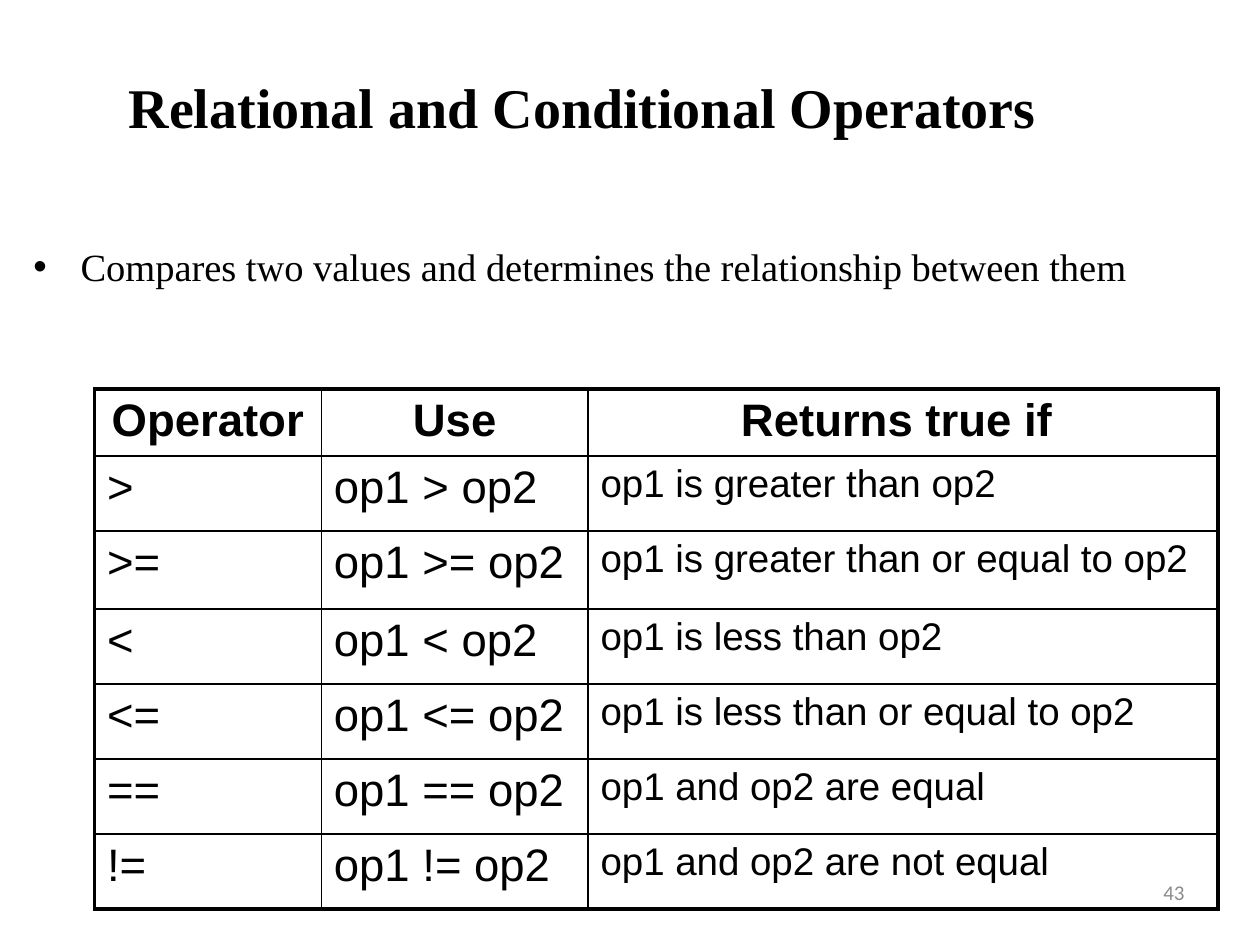
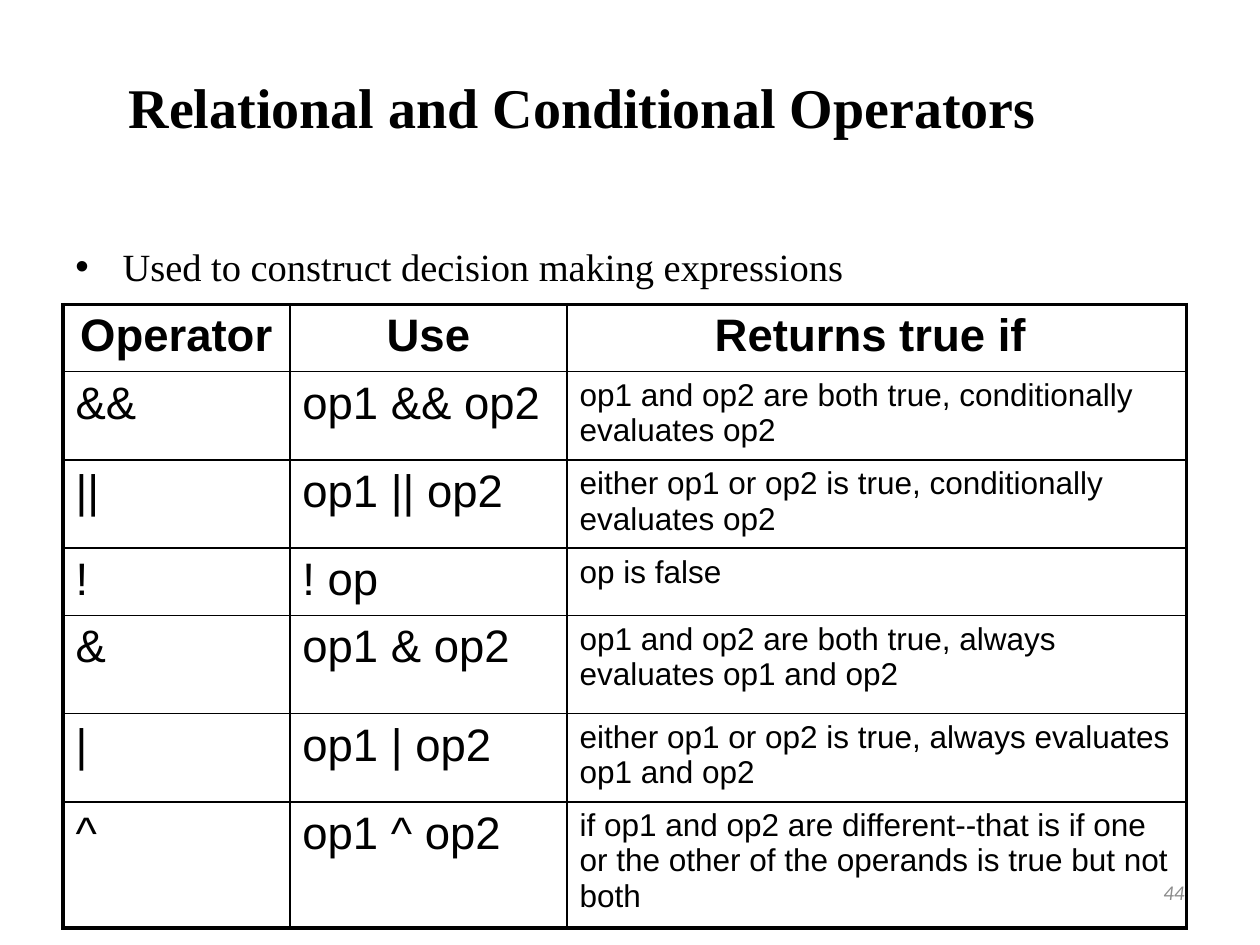
"""Two slides on relational and conditional operators, each a bullet over a table."""
from dataclasses import dataclass
from typing import Any, NamedTuple

from lxml.etree import SubElement
from pptx import Presentation
from pptx.dml.color import RGBColor
from pptx.enum.text import MSO_ANCHOR, PP_ALIGN
from pptx.oxml.ns import qn
from pptx.util import Emu, Inches, Pt


@dataclass(frozen=True)
class Theme:
    ink: str = "000000"
    muted: str = "8C8C8C"
    serif: str = "Times New Roman"
    sans: str = "Arial"
    number_font: str = "Calibri"
    title: int = 32
    body: int = 22
    cell: int = 26
    number: int = 12
    frame: float = 2.25
    rule: float = 1


class Box(NamedTuple):
    col: float
    row: float
    cols: float
    rows: float


class OperatorSlide(NamedTuple):
    bullet: str
    bullet_box: Box
    table_box: Box
    col_widths: tuple[float, ...]
    row_heights: tuple[float, ...]
    meaning_size: int
    operators: tuple[tuple[str, str, str], ...]
    number: int
    number_italic: bool


THEME = Theme()
WIDTH, HEIGHT = Inches(10), Inches(7.5)
GRID_COLS, GRID_ROWS = 120, 90
TITLE = "Relational and Conditional Operators"
HEADER = ("Operator", "Use", "Returns true if ")
TITLE_BOX = Box(6, 1.6, 99, 17)
NUMBER_BOX = Box(86, 82, 28, 6)

SLIDES = (
    OperatorSlide(
        "Compares two values and determines the relationship between them",
        Box(2, 22.57, 114, 13.5), Box(9, 37.04, 107, 49.7),
        (21.6, 25.4, 60), (6.4, 7.15, 7.4, 7.15, 7.15, 7.15, 7.15), 22,
        (
            (">", "op1 > op2", "op1 is greater than op2"),
            (">=", "op1 >= op2", "op1 is greater than or equal to op2"),
            ("<", "op1 < op2", "op1 is less than op2"),
            ("<=", "op1 <= op2", "op1 is less than or equal to op2"),
            ("==", "op1 == op2", "op1 and op2 are equal"),
            ("!=", "op1 != op2", "op1 and op2 are not equal"),
        ), 43, False),
    OperatorSlide(
        "Used to construct decision making expressions",
        Box(6, 22.57, 110, 13.5), Box(6, 29, 107, 59.4),
        (21.6, 26.4, 59), (5.3, 7.2, 7.4, 5.9, 9.35, 7.2, 7.2), 18,
        (
            ("&&", "op1 && op2", "op1 and op2 are both true, conditionally evaluates op2"),
            ("||", "op1 || op2", "either op1 or op2 is true, conditionally evaluates op2"),
            ("!", "! op", "op is false"),
            ("&", "op1 & op2", "op1 and op2 are both true, always evaluates op1 and op2"),
            ("|", "op1 | op2", "either op1 or op2 is true, always evaluates op1 and op2"),
            ("^", "op1 ^ op2", "if op1 and op2 are different--that is if one or the other "
                               "of the operands is true but not both"),
        ), 44, True),
)


def across(cols: float) -> Emu:
    """Turn grid columns into a length."""
    return Emu(round(WIDTH * cols / GRID_COLS))


def down(rows: float) -> Emu:
    """Turn grid rows into a length."""
    return Emu(round(HEIGHT * rows / GRID_ROWS))


def place(box: Box) -> tuple[Emu, Emu, Emu, Emu]:
    """Give the left, top, width and height of a grid box."""
    return across(box.col), down(box.row), across(box.cols), down(box.rows)


def apply(target: Any, formats: dict[str, Any]) -> None:
    """Set each named attribute on the target."""
    for name, value in formats.items():
        setattr(target, name, value)


def write(tf: Any, text: str, font: str, size: int, color: str = THEME.ink,
          align: PP_ALIGN = PP_ALIGN.LEFT, bold: bool = False,
          italic: bool = False, bullet: bool = False) -> None:
    """Fill a text frame with one styled paragraph."""
    p = tf.paragraphs[0]
    if bullet:
        pPr = p._p.get_or_add_pPr()
        indent = across(4.5)
        pPr.set("marL", str(indent))
        pPr.set("indent", str(-indent))
        SubElement(pPr, qn("a:buFont"), typeface=THEME.sans)
        SubElement(pPr, qn("a:buChar"), char="•")
    p.alignment = align
    r = p.add_run()
    r.text = text
    apply(r.font, {"name": font, "size": Pt(size), "bold": bold, "italic": italic})
    r.font.color.rgb = RGBColor.from_string(color)


def add_text(s: Any, box: Box, text: str, font: str, size: int,
             anchor: MSO_ANCHOR = MSO_ANCHOR.MIDDLE, **style: Any) -> None:
    """Add a wrapping text box on the grid."""
    tf = s.shapes.add_textbox(*place(box)).text_frame
    apply(tf, {"word_wrap": True, "vertical_anchor": anchor})
    write(tf, text, font, size, **style)


def add_borders(cell: Any, outer: dict[str, bool]) -> None:
    """Draw a cell's edges, heavier where they belong to the table frame."""
    tcPr = cell._tc.get_or_add_tcPr()
    for side, is_outer in outer.items():
        width = Pt(THEME.frame if is_outer else THEME.rule)
        ln = SubElement(tcPr, qn(f"a:ln{side}"), w=str(width))
        fill = SubElement(ln, qn("a:solidFill"))
        SubElement(fill, qn("a:srgbClr"), val=THEME.ink)


def add_operator_table(s: Any, spec: OperatorSlide) -> None:
    """Add the table of operators, their use and meaning."""
    rows = (HEADER, *spec.operators)
    last_row, last_col = len(rows) - 1, len(HEADER) - 1
    frame = s.shapes.add_table(len(rows), len(HEADER), *place(spec.table_box))
    table = frame.table
    apply(table, {"first_row": False, "horz_banding": False})
    for column, width in zip(table.columns, spec.col_widths):
        column.width = across(width)
    for i, (row, height) in enumerate(zip(rows, spec.row_heights)):
        table.rows[i].height = down(height)
        for j, text in enumerate(row):
            cell = table.cell(i, j)
            add_borders(cell, {"L": j == 0, "R": j == last_col,
                               "T": i == 0, "B": i == last_row})
            cell.fill.background()
            header = i == 0
            size = spec.meaning_size if j == last_col and not header else THEME.cell
            write(cell.text_frame, text, THEME.sans, size, bold=header,
                  align=PP_ALIGN.CENTER if header else PP_ALIGN.LEFT)
    frame.height = down(spec.table_box.rows)


def add_operator_slide(prs: Any, spec: OperatorSlide) -> None:
    """Add one slide with title, bullet, table and number."""
    s = prs.slides.add_slide(prs.slide_layouts[6])
    add_text(s, TITLE_BOX, TITLE, THEME.serif, THEME.title,
             align=PP_ALIGN.CENTER, bold=True)
    add_text(s, spec.bullet_box, spec.bullet, THEME.serif, THEME.body,
             anchor=MSO_ANCHOR.TOP, bullet=True)
    add_operator_table(s, spec)
    add_text(s, NUMBER_BOX, str(spec.number), THEME.number_font, THEME.number,
             color=THEME.muted, align=PP_ALIGN.RIGHT, italic=spec.number_italic)


def main() -> None:
    """Build and save the presentation."""
    prs = Presentation()
    apply(prs, {"slide_width": WIDTH, "slide_height": HEIGHT})
    for spec in SLIDES:
        add_operator_slide(prs, spec)
    prs.save("out.pptx")


if __name__ == "__main__":
    main()
